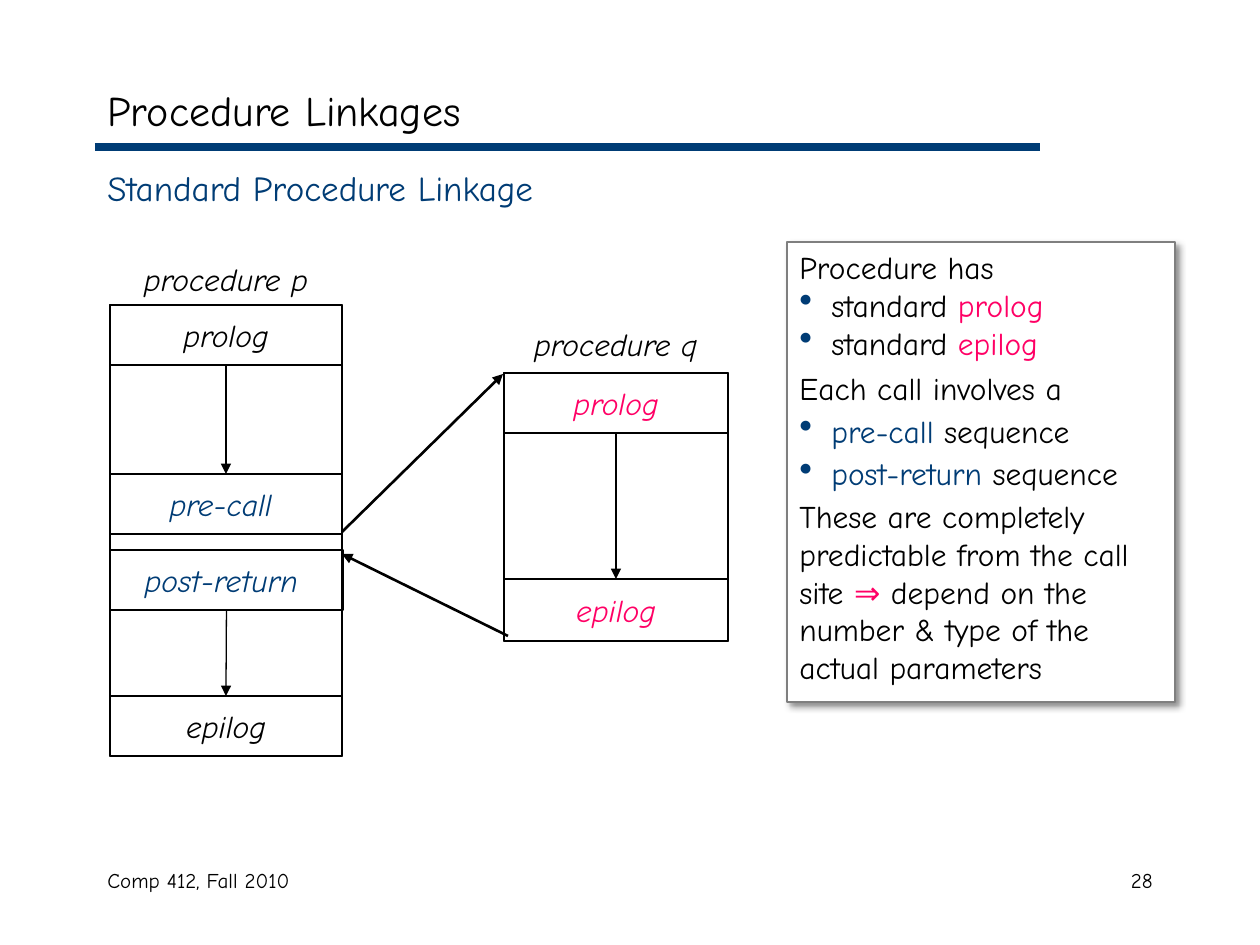
from typing import NamedTuple

from lxml.etree import SubElement
from pptx import Presentation
from pptx.dml.color import RGBColor
from pptx.enum.shapes import MSO_CONNECTOR, MSO_SHAPE
from pptx.enum.text import MSO_ANCHOR, PP_ALIGN
from pptx.oxml.ns import qn
from pptx.util import Pt

EMU_PER_PX = 914400 / 126
FONT = "Comic Neue"
COLORS = {
    "black": "000000",
    "white": "FFFFFF",
    "navy": "003C75",
    "pink": "FF0065",
    "gray": "7F7F7F",
}
BOTTOM, TOP = 2, 0
INDENT = 32


class Box(NamedTuple):
    left: int
    top: int
    width: int
    height: int


class Caption(NamedTuple):
    text: str
    box: Box
    size: int
    color: str = "black"
    align: PP_ALIGN = PP_ALIGN.LEFT
    anchor: MSO_ANCHOR = MSO_ANCHOR.TOP
    italic: bool = False


class Stage(NamedTuple):
    text: str
    box: Box
    color: str = "black"


class Procedure(NamedTuple):
    frame: Box
    stages: list[Stage]
    flows: list[tuple[int, int]]


class Note(NamedTuple):
    runs: list[tuple[str, str]]
    bullet: bool = False
    space_before: float = 0


CAPTIONS = [
    Caption("Comp 412, Fall 2010", Box(95, 861, 399, 63), 12),
    Caption("28", Box(903, 861, 262, 63), 12, align=PP_ALIGN.RIGHT),
    Caption("Procedure Linkages", Box(95, 73, 1071, 73), 24, anchor=MSO_ANCHOR.MIDDLE),
    Caption("Standard Procedure Linkage", Box(95, 160, 1071, 60), 20, "navy"),
    Caption("procedure p", Box(95, 254, 262, 50), 18, align=PP_ALIGN.CENTER, italic=True),
    Caption("procedure q", Box(485, 319, 262, 50), 18, align=PP_ALIGN.CENTER, italic=True),
]

PROCEDURES = [
    Procedure(
        Box(110, 305, 232, 451),
        [
            Stage("prolog", Box(110, 305, 232, 60)),
            Stage("pre-call ", Box(110, 474, 232, 60), "navy"),
            Stage("post-return ", Box(110, 550, 233, 60), "navy"),
            Stage("epilog", Box(110, 696, 232, 60)),
        ],
        [(0, 1), (2, 3)],
    ),
    Procedure(
        Box(504, 373, 224, 268),
        [
            Stage("prolog", Box(504, 373, 224, 60), "pink"),
            Stage("epilog", Box(504, 579, 224, 62), "pink"),
        ],
        [(0, 1)],
    ),
]

CALL_AND_RETURN = [((342, 532), (503, 374)), ((508, 636), (342, 554))]

PANEL = Box(787, 242, 388, 460)
NOTES = [
    Note([("Procedure has", "black")]),
    Note([("standard ", "black"), ("prolog", "pink")], True),
    Note([("standard ", "black"), ("epilog", "pink")], True),
    Note([("Each call involves a", "black")], space_before=4.5),
    Note([("pre-call ", "navy"), ("sequence", "black")], True, 2.7),
    Note([("post-return ", "navy"), ("sequence", "black")], True, 2.7),
    Note(
        [
            ("These are completely predictable from the call site ", "black"),
            ("⇒", "pink"),
            (" depend on the number & type of the actual parameters", "black"),
        ],
        space_before=2.7,
    ),
]


def px(value: int) -> int:
    return round(value * EMU_PER_PX)


def emu(box: Box) -> list[int]:
    return [px(value) for value in box]


def rgb(name: str) -> RGBColor:
    return RGBColor.from_string(COLORS[name])


def format_run(run, size: int, color: str, italic: bool = False) -> None:
    run.font.name = FONT
    run.font.size = Pt(size)
    run.font.italic = italic
    run.font.color.rgb = rgb(color)


def draw_caption(slide, caption: Caption) -> None:
    text_frame = slide.shapes.add_textbox(*emu(caption.box)).text_frame
    text_frame.word_wrap = True
    text_frame.vertical_anchor = caption.anchor
    text_frame.text = caption.text
    paragraph = text_frame.paragraphs[0]
    paragraph.alignment = caption.align
    format_run(paragraph.runs[0], caption.size, caption.color, caption.italic)


def draw_rectangle(slide, box: Box, line_color: str, line_width: float):
    shape = slide.shapes.add_shape(MSO_SHAPE.RECTANGLE, *emu(box))
    shape.shadow.inherit = False
    shape.fill.background()
    shape.line.color.rgb = rgb(line_color)
    shape.line.width = Pt(line_width)
    return shape


def draw_stage(slide, stage: Stage):
    shape = draw_rectangle(slide, stage.box, "black", 0.75)
    text_frame = shape.text_frame
    text_frame.word_wrap = False
    text_frame.vertical_anchor = MSO_ANCHOR.MIDDLE
    text_frame.text = stage.text
    paragraph = text_frame.paragraphs[0]
    paragraph.alignment = PP_ALIGN.CENTER
    format_run(paragraph.runs[0], 18, stage.color, True)
    return shape


def draw_line(slide, start=(0, 0), end=(0, 0), width=0.75, color="black", arrow=True):
    connector = slide.shapes.add_connector(
        MSO_CONNECTOR.STRAIGHT, *(px(value) for value in (*start, *end))
    )
    connector.line.color.rgb = rgb(color)
    connector.line.width = Pt(width)
    properties = connector._element.spPr
    if arrow:
        SubElement(properties.find(qn("a:ln")), qn("a:tailEnd"), type="triangle")
    SubElement(properties, qn("a:effectLst"))
    return connector


def draw_procedure(slide, procedure: Procedure) -> None:
    draw_rectangle(slide, procedure.frame, "black", 1)
    shapes = [draw_stage(slide, stage) for stage in procedure.stages]
    for source, target in procedure.flows:
        connector = draw_line(slide)
        connector.begin_connect(shapes[source], BOTTOM)
        connector.end_connect(shapes[target], TOP)


def add_bullet(paragraph) -> None:
    properties = paragraph._p.get_or_add_pPr()
    properties.set("marL", str(px(INDENT)))
    properties.set("indent", str(-px(INDENT)))
    color = SubElement(properties, qn("a:buClr"))
    SubElement(color, qn("a:srgbClr"), val=COLORS["navy"])
    SubElement(properties, qn("a:buSzPct"), val="120000")
    SubElement(properties, qn("a:buChar"), char="•")


def add_shadow(shape) -> None:
    effects = shape._element.spPr.find(qn("a:effectLst"))
    shadow = SubElement(
        effects, qn("a:outerShdw"), blurRad=str(Pt(4)), dist=str(Pt(3)),
        dir="2700000", algn="tl", rotWithShape="0",
    )
    color = SubElement(shadow, qn("a:srgbClr"), val=COLORS["black"])
    SubElement(color, qn("a:alpha"), val="43000")


def draw_panel(slide, box: Box, notes: list[Note]) -> None:
    shape = draw_rectangle(slide, box, "gray", 1.5)
    shape.fill.solid()
    shape.fill.fore_color.rgb = rgb("white")
    add_shadow(shape)
    text_frame = shape.text_frame
    text_frame.word_wrap = True
    text_frame.vertical_anchor = MSO_ANCHOR.TOP
    for index, note in enumerate(notes):
        paragraph = text_frame.add_paragraph() if index else text_frame.paragraphs[0]
        if note.bullet:
            add_bullet(paragraph)
        paragraph.alignment = PP_ALIGN.LEFT
        paragraph.space_before = Pt(note.space_before)
        for text, color in note.runs:
            run = paragraph.add_run()
            run.text = text
            format_run(run, 18, color)


def main() -> None:
    presentation = Presentation()
    presentation.slide_width, presentation.slide_height = px(1260), px(945)
    slide = presentation.slides.add_slide(presentation.slide_layouts[6])
    draw_line(slide, (95, 147), (1040, 147), 4.5, "navy", arrow=False)
    for caption in CAPTIONS:
        draw_caption(slide, caption)
    for procedure in PROCEDURES:
        draw_procedure(slide, procedure)
    for start, end in CALL_AND_RETURN:
        draw_line(slide, start, end, 1.5)
    draw_panel(slide, PANEL, NOTES)
    presentation.save("out.pptx")


if __name__ == "__main__":
    main()
